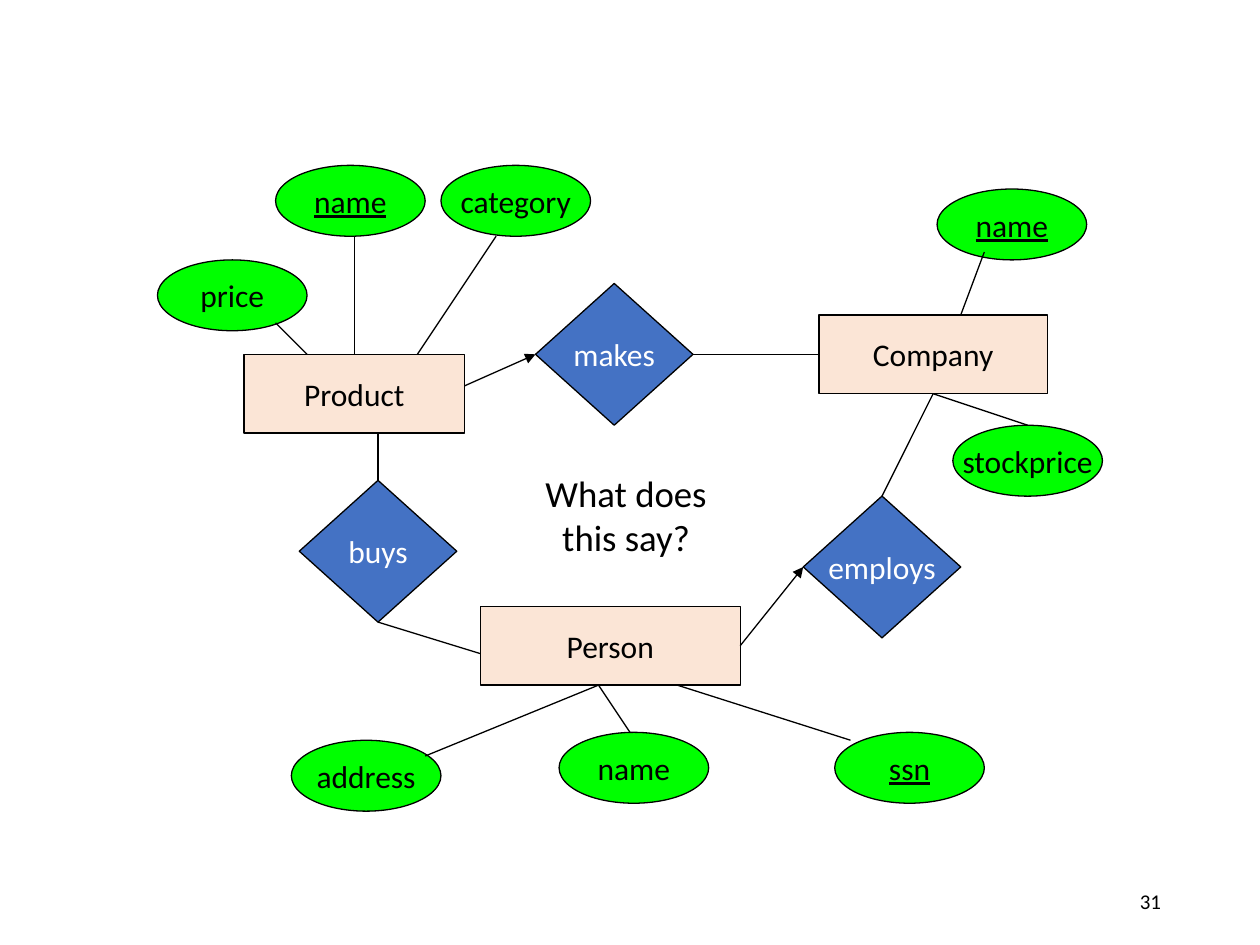
from lxml.etree import SubElement
from pptx import Presentation
from pptx.dml.color import RGBColor
from pptx.enum.shapes import MSO_CONNECTOR as Connector, MSO_SHAPE as Shape
from pptx.enum.text import MSO_ANCHOR as Anchor, PP_ALIGN as Align
from pptx.oxml.ns import qn
from pptx.util import Pt

BLACK = RGBColor(0x00, 0x00, 0x00)
WHITE = RGBColor(0xFF, 0xFF, 0xFF)
GREEN = RGBColor(0x00, 0xFF, 0x00)
PEACH = RGBColor(0xFB, 0xE5, 0xD6)
BLUE = RGBColor(0x44, 0x72, 0xC4)

TOP, LEFT, BOTTOM, RIGHT = range(4)
ATTRIBUTE_SIZE = (85.5, 40.5)
LINE_WIDTH = Pt(0.75)


def write(frame, words, size, color, align):
    frame.text = words
    paragraph = frame.paragraphs[0]
    paragraph.alignment = align
    font = paragraph.font
    font.name, font.size, font.color.rgb = "Calibri", Pt(size), color
    return font


def node(slide, preset, box, words, fill, color=BLACK, key=False):
    """Draw one labelled shape of the diagram; key labels are underlined."""
    shape = slide.shapes.add_shape(preset, *map(Pt, box))
    shape.shadow.inherit = False
    shape.fill.solid()
    shape.fill.fore_color.rgb = fill
    shape.line.color.rgb = BLACK
    shape.line.width = LINE_WIDTH
    frame = shape.text_frame
    frame.word_wrap = False
    frame.vertical_anchor = Anchor.MIDDLE
    font = write(frame, words, 18, color, Align.CENTER)
    if key:
        font.underline = True
    return shape


def link(slide, start, end, arrow_at_start=False):
    """Join two points, in points from the slide's corner."""
    line = slide.shapes.add_connector(
        Connector.STRAIGHT, *map(Pt, (*start, *end)))
    line.line.color.rgb = BLACK
    line.line.width = LINE_WIDTH
    if arrow_at_start:
        SubElement(line.line._get_or_add_ln(), qn("a:headEnd"), type="triangle")
    SubElement(line._element.spPr, qn("a:effectLst"))
    return line


def add_entity(slide, box, name, attributes):
    """Draw an entity and its attributes, all offset from the entity's corner."""
    x, y, _, height = box
    entity = node(slide, Shape.RECTANGLE, box, name, PEACH)
    for label, key, (dx, dy), start, end, start_side, end_side in attributes:
        oval = node(slide, Shape.OVAL, (x + dx, y + dy, *ATTRIBUTE_SIZE),
                    label, GREEN, key=key)
        line = link(slide, (x + start[0], y + start[1]),
                    (x + end[0], y + end[1]))
        if start_side is not None:
            line.begin_connect(entity, start_side)
        if end_side is not None:
            line.end_connect(oval, end_side)
    return entity


def add_relationship(slide, box, name, links):
    """Draw a diamond; each link ends at an entity's side or an offset point."""
    x, y, _, _ = box
    diamond = node(slide, Shape.DIAMOND, box, name, BLUE, WHITE)
    for side, entity, target, arrow in links:
        line = link(slide, (x, y), (x, y), arrow)
        if entity is None:
            dx, dy = target
            line.end_x, line.end_y = Pt(x + dx), Pt(y + dy)
        else:
            line.end_connect(entity, target)
        line.begin_connect(diamond, side)


def add_question(slide, box):
    frame = slide.shapes.add_textbox(*map(Pt, box)).text_frame
    frame.word_wrap = True
    write(frame, "What does this say?", 21, BLACK, Align.CENTER)


def add_slide_number(slide, box):
    frame = slide.shapes.add_textbox(*map(Pt, box)).text_frame
    frame.word_wrap = True
    frame.vertical_anchor = Anchor.MIDDLE
    write(frame, "31", 12, BLACK, Align.RIGHT)


def main():
    deck = Presentation()
    deck.slide_width, deck.slide_height = Pt(720), Pt(540)
    slide = deck.slides.add_slide(deck.slide_layouts[6])

    add_slide_number(slide, (508.5, 500.5, 162, 28.5))

    # Entities: label, key, oval offset, line start and end, joined sides
    person = add_entity(slide, (274.5, 346.5, 148.5, 45), "Person", [
        ("address", False, (-108, 76.5), (67.5, 45), (-31.5, 85.5), None, None),
        ("name", False, (45, 72), (67.5, 45), (85.5, 72), None, None),
        ("ssn", True, (202.5, 72), (112.5, 45), (211.5, 76.5), None, None),
    ])
    company = add_entity(slide, (468, 180, 130.5, 45), "Company", [
        ("name", True, (67.5, -72), (81, 0), (94.5, -36), None, None),
        ("stockprice", False, (76.5, 63), (65.25, 45), (119.25, 63),
         BOTTOM, TOP),
    ])
    add_entity(slide, (139.5, 202.5, 126, 45), "Product", [
        ("price", False, (-49.5, -54), (36, 0), (18, -18), None, None),
        ("name", True, (18, -108), (63, 0), (63, -67.5), TOP, None),
        ("category", False, (112.5, -108), (99, 0), (144, -67.5), None, None),
    ])

    # Relationships: diamond side, entity, its side or a point, arrow
    add_relationship(slide, (171, 274.5, 90, 81), "buys", [
        (TOP, None, (45, -27), False),
        (BOTTOM, None, (103.5, 99), False),
    ])
    add_relationship(slide, (306, 162, 90, 81), "makes", [
        (LEFT, None, (-40.5, 58.5), True),
        (RIGHT, company, LEFT, False),
    ])
    add_relationship(slide, (459, 283.5, 90, 81), "employs", [
        (LEFT, person, RIGHT, True),
        (TOP, company, BOTTOM, False),
    ])

    add_question(slide, (301.5, 265.5, 112.5, 58.5))
    deck.save("out.pptx")


if __name__ == "__main__":
    main()
